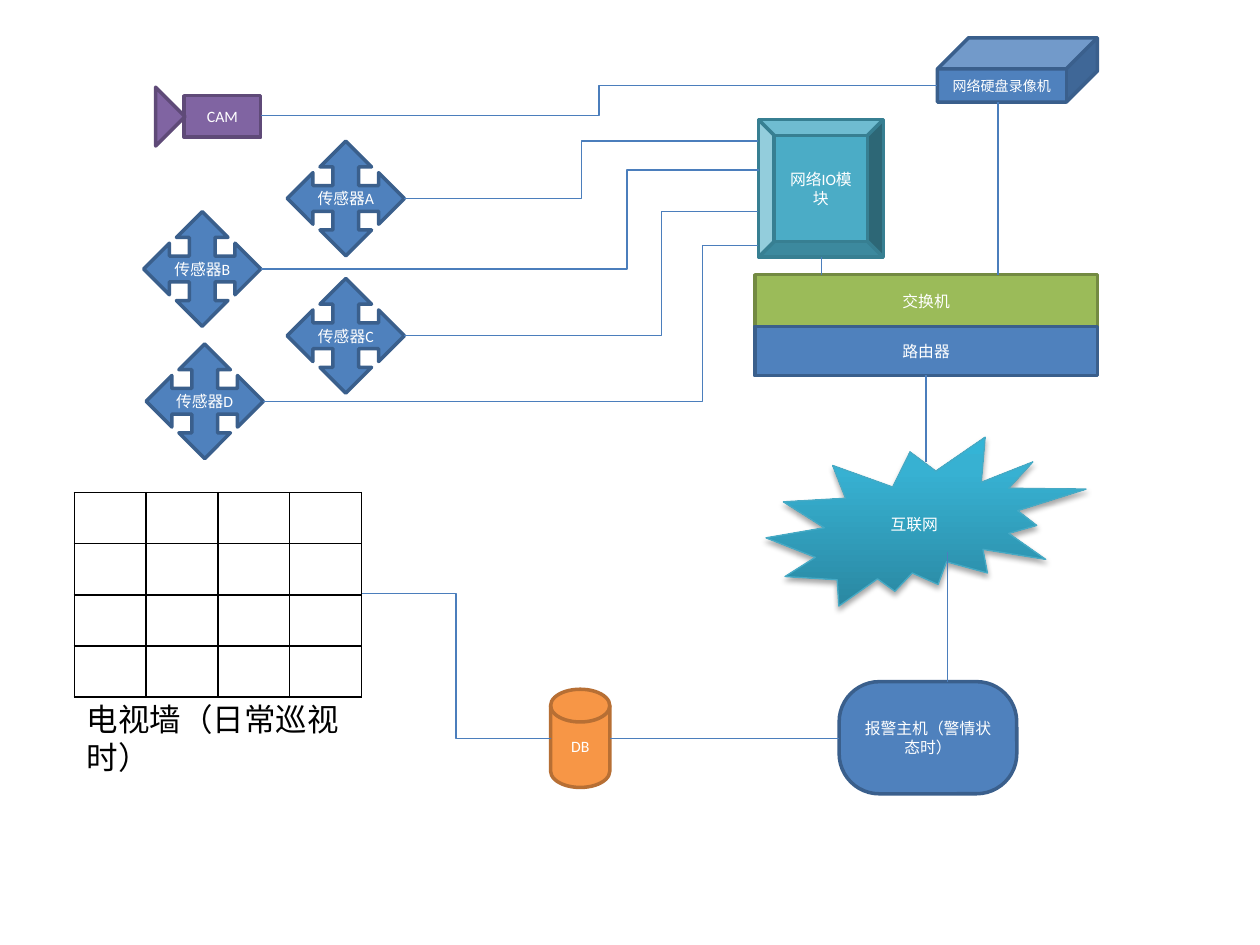
"""Build the alarm and video network diagram."""
from dataclasses import dataclass

from lxml import etree
from pptx import Presentation
from pptx.dml.color import RGBColor
from pptx.enum.shapes import MSO_CONNECTOR, MSO_SHAPE
from pptx.enum.text import MSO_ANCHOR, MSO_AUTO_SIZE, PP_ALIGN
from pptx.oxml import parse_xml
from pptx.oxml.ns import qn
from pptx.util import Inches, Pt

RECT = MSO_SHAPE.RECTANGLE
ROUND = MSO_SHAPE.ROUNDED_RECTANGLE
CUBE = MSO_SHAPE.CUBE
BEVEL = MSO_SHAPE.BEVEL
ARROWS = MSO_SHAPE.QUAD_ARROW
DISK = MSO_SHAPE.FLOWCHART_MAGNETIC_DISK
BURST = MSO_SHAPE.EXPLOSION2
WEDGE = MSO_SHAPE.RIGHT_TRIANGLE
STRAIGHT = MSO_CONNECTOR.STRAIGHT
ELBOW = MSO_CONNECTOR.ELBOW
CENTER, LEFT = PP_ALIGN.CENTER, PP_ALIGN.LEFT
MIDDLE, TOP = MSO_ANCHOR.MIDDLE, MSO_ANCHOR.TOP
FIT = MSO_AUTO_SIZE.SHAPE_TO_FIT_TEXT
NS = 'xmlns:a="http://schemas.openxmlformats.org/drawingml/2006/main"'


@dataclass(frozen=True)
class Theme:
    """Colours, type and line sizes; tones pair fill with outline."""
    font: str = "Calibri"
    small: float = 8
    body: float = 9
    large: float = 18
    edge: float = 2
    thin: float = 0.75
    white: str = "FFFFFF"
    black: str = "000000"
    wire: str = "4B7EBC"
    blue: tuple = ("4F81BD", "3A5F8C")
    green: tuple = ("9BBB59", "738A42")
    purple: tuple = ("8064A2", "5F4A78")
    teal: tuple = ("4BACC6", "377F92")
    orange: tuple = ("F79646", "B76F34")
    cloud: tuple = ("37B1D2", "46AAC5")
    blend: tuple = ((0, "2A88A2"), (80, "37B1D2"), (100, "34B4D6"))


def write(frame, text, font, size, color, align=CENTER, anchor=MIDDLE):
    """Put formatted text into a frame."""
    frame.word_wrap = True
    frame.vertical_anchor = anchor
    para = frame.paragraphs[0]
    para.alignment = align
    run = para.add_run()
    run.text = text
    run.font.name, run.font.size = font, Pt(size)
    run.font.color.rgb = RGBColor.from_string(color)


class Board:
    """Hold the theme and the current slide."""

    def __init__(self, slide, theme):
        """Keep the slide and its theme."""
        self.slide, self.theme = slide, theme

    def shape(self, kind, box, tone, text="", size=None, edge=None, adj=None, turn=0):
        """Add a filled shape with centred text."""
        look = self.theme
        item = self.slide.shapes.add_shape(kind, *map(Inches, box))
        item.shadow.inherit = False
        item.rotation = turn
        item.fill.solid()
        item.fill.fore_color.rgb = RGBColor.from_string(tone[0])
        item.line.color.rgb = RGBColor.from_string(tone[1])
        item.line.width = Pt(edge or look.edge)
        if adj is not None:
            item.adjustments[0] = adj
        if text:
            write(item.text_frame, text, look.font, size or look.body, look.white)
        return item

    def burst(self, box, text):
        """Add a burst with a gradient and a soft shadow."""
        look = self.theme
        item = self.shape(BURST, box, look.cloud, text, edge=look.thin)
        props = item._element.spPr
        stops = "".join(f'<a:gs pos="{pos * 1000}"><a:srgbClr val="{tint}"/></a:gs>'
                        for pos, tint in look.blend)
        props.replace(props.find(qn("a:solidFill")), parse_xml(
            f'<a:gradFill {NS} rotWithShape="1"><a:gsLst>{stops}</a:gsLst>'
            '<a:lin ang="16200000" scaled="0"/></a:gradFill>'))
        props.find(qn("a:effectLst")).append(parse_xml(
            f'<a:outerShdw {NS} blurRad="{Pt(3.1)}" dist="{Pt(1.8)}" dir="5400000" '
            f'rotWithShape="0"><a:srgbClr val="{look.black}"><a:alpha val="35000"/>'
            '</a:srgbClr></a:outerShdw>'))

    def wire(self, start, end, bend=None):
        """Join two points, with an elbow at a share of the width if given."""
        kind = STRAIGHT if bend is None else ELBOW
        item = self.slide.shapes.add_connector(kind, *map(Inches, start + end))
        item.line.color.rgb = RGBColor.from_string(self.theme.wire)
        item.line.width = Pt(self.theme.thin)
        props = item._element.spPr
        etree.SubElement(props, qn("a:effectLst"))
        if bend is not None:
            guides = props.find(qn("a:prstGeom")).get_or_add_avLst()
            etree.SubElement(guides, qn("a:gd"), name="adj1",
                             fmla=f"val {round(bend * 100000)}")

    def grid(self, box, rows, cols):
        """Add an empty table with black borders."""
        table = self.slide.shapes.add_table(rows, cols, *map(Inches, box)).table
        table.first_row = table.horz_banding = False
        for cell in table.iter_cells():
            cell.fill.background()
            props = cell._tc.get_or_add_tcPr()
            for place, side in enumerate(("lnL", "lnR", "lnT", "lnB")):
                props.insert(place, parse_xml(
                    f'<a:{side} {NS} w="{Pt(1)}"><a:solidFill><a:srgbClr '
                    f'val="{self.theme.black}"/></a:solidFill></a:{side}>'))

    def label(self, box, text):
        """Add a large text box."""
        look = self.theme
        frame = self.slide.shapes.add_textbox(*map(Inches, box)).text_frame
        write(frame, text, look.font, look.large, look.black, LEFT, TOP)
        frame.auto_size = FIT


def main():
    """Draw the slide and save it."""
    deck = Presentation()
    deck.slide_width, deck.slide_height = Inches(10), Inches(7.5)
    look = Theme()
    board = Board(deck.slides.add_slide(deck.slide_layouts[6]), look)

    board.shape(DISK, (4.37, 5.47, 0.47, 0.78), look.orange, "DB")
    board.shape(CUBE, (7.44, 0.3, 1.27, 0.51), look.blue, "网络硬盘录像机",
                size=look.small, adj=0.484)
    board.shape(RECT, (1.46, 0.76, 0.61, 0.33), look.purple, "CAM")
    board.shape(WEDGE, (1.07, 0.76, 0.33, 0.33), look.purple, turn=225)
    board.shape(RECT, (5.99, 2.18, 2.72, 0.42), look.green, "交换机")
    board.shape(RECT, (5.99, 2.59, 2.72, 0.39), look.blue, "路由器")
    board.shape(BEVEL, (6.02, 0.95, 0.99, 1.09), look.teal, "网络IO模块")
    board.burst((6.08, 3.47, 2.54, 1.34), "互联网")
    board.shape(ROUND, (6.66, 5.41, 1.41, 0.89), look.blue,
                "报警主机（警情状态时）", adj=0.358)
    board.grid((0.59, 3.91, 2.28, 1.58), 4, 4)
    board.label((0.59, 5.51, 2.28, 0.71), "电视墙（日常巡视时）")

    wide, high = 0.93, 0.91
    sensors = (("A", 2.28, 1.12, 1.12, 0.5), ("B", 1.14, 1.68, 1.35, 0.736),
               ("C", 2.28, 2.21, 1.68, 0.726), ("D", 1.16, 2.73, 1.95, 0.887))
    for name, left, top, port, bend in sensors:
        board.shape(ARROWS, (left, top, wide, high), look.blue, "传感器" + name)
        board.wire((left + wide, top + high / 2), (6.02, port), bend)

    board.wire((2.07, 0.92), (7.44, 0.68), 0.5)
    board.wire((4.37, 5.86), (2.87, 4.71), 0.5)
    for start, end in (((7.92, 0.81), (7.92, 2.18)), ((6.52, 2.04), (6.52, 2.18)),
                       ((7.35, 3.67), (7.35, 2.98)), ((4.84, 5.86), (6.66, 5.86)),
                       ((7.52, 4.38), (7.52, 5.41))):
        board.wire(start, end)
    deck.save("out.pptx")


main()
